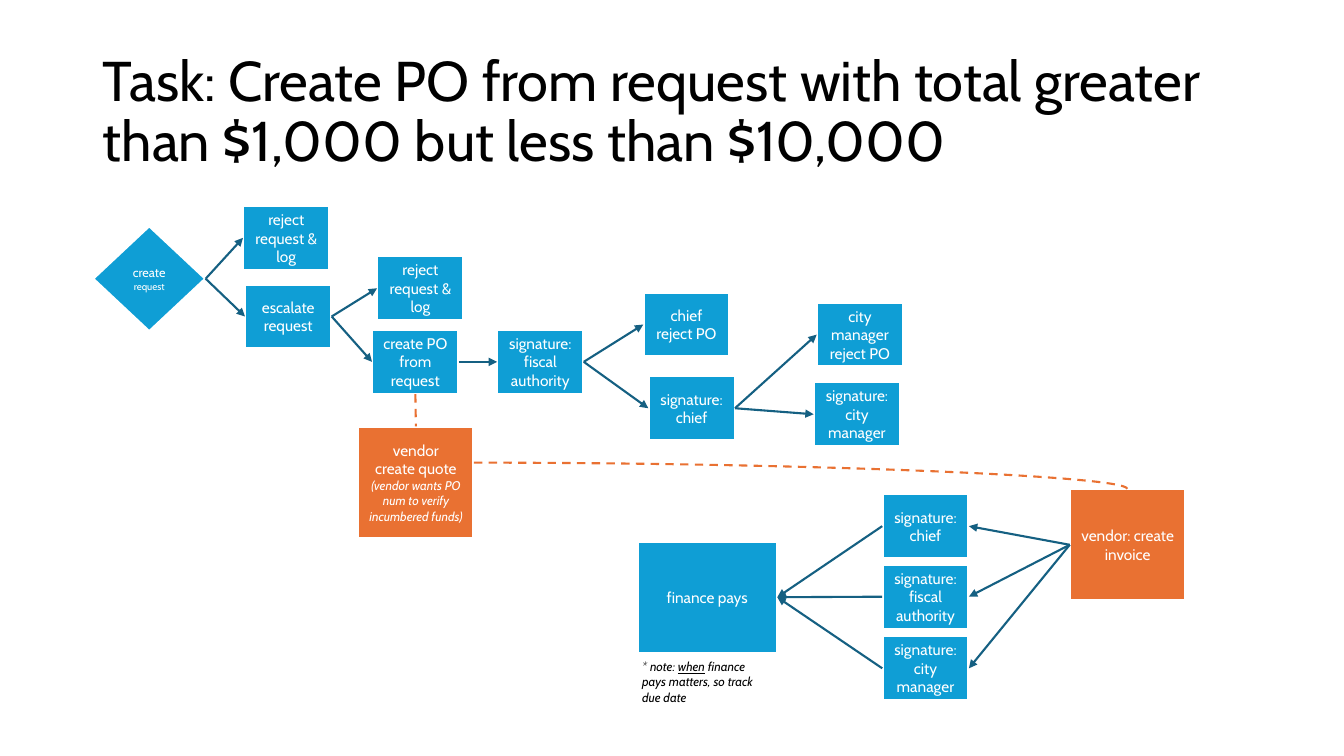
from dataclasses import dataclass

from lxml import etree
from pptx import Presentation
from pptx.dml.color import RGBColor
from pptx.enum import dml, shapes, text
from pptx.oxml import ns
from pptx.util import Inches, Pt


@dataclass(frozen=True)
class Theme:
    """Colours, font and type sizes of the slide."""
    font: str = "Cabin"
    blue: RGBColor = RGBColor(0x0F, 0x9E, 0xD5)
    orange: RGBColor = RGBColor(0xE9, 0x71, 0x32)
    arrow: RGBColor = RGBColor(0x15, 0x60, 0x82)
    white: RGBColor = RGBColor(0xFF, 0xFF, 0xFF)
    black: RGBColor = RGBColor(0, 0, 0)
    title: int = 40
    step: int = 11
    small: int = 9
    tiny: int = 7
    outline: float = 2
    stroke: float = 1.5


THEME = Theme()
TOP, LEFT, BOTTOM, RIGHT = range(4)
STEP_SIZE = (0.86, 0.64)
VENDOR_SIZE = (1.15, 1.11)

STEPS = {
    "reject request": (2.41, 2.04, "reject request & log"),
    "escalate": (2.43, 2.82, "escalate request"),
    "reject escalated": (3.74, 2.54, "reject request & log"),
    "create PO": (3.69, 3.27, "create PO from request"),
    "fiscal signs PO": (4.93, 3.27, "signature: fiscal authority"),
    "chief rejects": (6.38, 2.9, "chief reject PO"),
    "chief signs PO": (6.43, 3.73, "signature: chief"),
    "manager signs PO": (8.07, 3.79, "signature: city manager"),
    "manager rejects": (8.1, 3, "city manager reject PO"),
    "chief signs invoice": (8.75, 4.9, "signature: chief"),
    "fiscal signs invoice": (8.75, 5.6, "signature: fiscal authority"),
    "manager signs invoice": (8.75, 6.31, "signature: city manager"),
}

REQUEST_FLOW = {
    "create request": ("reject request", "escalate"),
    "escalate": ("reject escalated", "create PO"),
    "create PO": ("fiscal signs PO",),
    "fiscal signs PO": ("chief rejects", "chief signs PO"),
    "chief signs PO": ("manager rejects", "manager signs PO"),
}
INVOICE_SIGNERS = ("chief signs invoice", "fiscal signs invoice", "manager signs invoice")


def write_paragraph(paragraph, runs, size, color, align=text.PP_ALIGN.LEFT, italic=None):
    """Fill a paragraph with (text, font overrides) runs and format it."""
    paragraph.alignment = align
    font = paragraph.font
    font.name, font.size, font.italic = THEME.font, Pt(size), italic
    font.color.rgb = color
    for words, overrides in runs:
        run = paragraph.add_run()
        run.text = words
        for attribute, value in overrides.items():
            setattr(run.font, attribute, value)


def add_title(slide, words):
    """Place and format the slide title."""
    title = slide.shapes.title
    title.left, title.top = Inches(0.92), Inches(0.4)
    title.width, title.height = Inches(11.5), Inches(1.45)
    frame = title.text_frame
    frame.word_wrap = True
    frame.auto_size = text.MSO_AUTO_SIZE.NONE
    frame.vertical_anchor = text.MSO_ANCHOR.MIDDLE
    frame.paragraphs[0].line_spacing = 0.9
    write_paragraph(frame.paragraphs[0], [(words, {})], THEME.title, THEME.black)


def add_node(slide, place, size, paragraphs, fill=THEME.blue,
             outline=shapes.MSO_SHAPE.RECTANGLE):
    """Add one flow chart node with centred white text."""
    node = slide.shapes.add_shape(outline, *map(Inches, (*place, *size)))
    node.shadow.inherit = False
    node.fill.solid()
    node.fill.fore_color.rgb = fill
    node.line.color.rgb = THEME.white
    node.line.width = Pt(THEME.outline)
    frame = node.text_frame
    frame.word_wrap = True
    frame.vertical_anchor = text.MSO_ANCHOR.MIDDLE
    for index, runs in enumerate(paragraphs):
        paragraph = frame.add_paragraph() if index else frame.paragraphs[0]
        write_paragraph(paragraph, runs, THEME.step, THEME.white, text.PP_ALIGN.CENTER)
    return node


def add_link(slide, color, start=(0, 0), end=(0, 0), kind=shapes.MSO_CONNECTOR.STRAIGHT):
    """Add a connector without shadow."""
    link = slide.shapes.add_connector(kind, *map(Inches, (*start, *end)))
    link.line.color.rgb = color
    link.line.width = Pt(THEME.stroke)
    etree.SubElement(link._element.spPr, ns.qn("a:effectLst"))
    return link


def add_arrow(slide, source, target, source_side=RIGHT, target_side=LEFT):
    """Join two nodes with a straight arrow."""
    arrow = add_link(slide, THEME.arrow)
    arrow.begin_connect(source, source_side)
    arrow.end_connect(target, target_side)
    etree.SubElement(arrow.line._get_or_add_ln(), ns.qn("a:tailEnd"), type="triangle")


def add_vendor_links(slide, purchase_order, quote):
    """Draw the dashed links from the order to the quote and on to the invoice."""
    order_link = add_link(slide, THEME.orange)
    order_link.begin_connect(purchase_order, BOTTOM)
    order_link.end_connect(quote, TOP)
    invoice_link = add_link(slide, THEME.orange, (4.7, 4.59), (11.18, 4.85),
                            shapes.MSO_CONNECTOR.CURVE)
    invoice_link._element.spPr.find(ns.qn("a:prstGeom")).set("prst", "curvedConnector2")
    for link in (order_link, invoice_link):
        link.line.dash_style = dml.MSO_LINE.DASH


def add_note(slide):
    """Add the payment note under the finance node."""
    note = slide.shapes.add_textbox(*map(Inches, (6.27, 6.49, 1.38, 0.56)))
    frame = note.text_frame
    frame.word_wrap = True
    frame.auto_size = text.MSO_AUTO_SIZE.SHAPE_TO_FIT_TEXT
    runs = [("* note: ", {}), ("when", {"underline": True}),
            (" finance pays matters, so track due date", {})]
    write_paragraph(frame.paragraphs[0], runs, THEME.small, THEME.black, italic=True)


def main():
    """Build the purchase order flow slide."""
    deck = Presentation()
    deck.slide_width, deck.slide_height = Inches(13.33), Inches(7.5)
    slide = deck.slides.add_slide(deck.slide_layouts.get_by_name("Title Only"))
    add_title(slide, "Task: Create PO from request with total greater than $1,000 "
                     "but less than $10,000")

    nodes = {name: add_node(slide, (left, top), STEP_SIZE, [[(words, {})]])
             for name, (left, top, words) in STEPS.items()}
    nodes["create request"] = add_node(
        slide, (0.92, 2.24), (1.12, 1.05),
        [[("create ", {"size": Pt(THEME.small)}), ("request", {"size": Pt(THEME.tiny)})]],
        outline=shapes.MSO_SHAPE.DIAMOND)
    finance = add_node(slide, (6.32, 5.37), (1.39, 1.11), [[("finance pays", {})]])
    quote = add_node(
        slide, (3.55, 4.23), VENDOR_SIZE,
        [[("vendor", {})],
         [("create quote ", {}),
          ("(vendor wants PO num to verify incumbered funds)",
           {"size": Pt(THEME.small), "italic": True})]],
        THEME.orange)
    invoice = add_node(slide, (10.61, 4.85), VENDOR_SIZE,
                       [[("vendor: create invoice", {})]], THEME.orange)

    for source, targets in REQUEST_FLOW.items():
        for target in targets:
            add_arrow(slide, nodes[source], nodes[target])
    for signer in INVOICE_SIGNERS:
        add_arrow(slide, invoice, nodes[signer], LEFT, RIGHT)
        add_arrow(slide, nodes[signer], finance, LEFT, RIGHT)
    add_vendor_links(slide, nodes["create PO"], quote)
    add_note(slide)
    deck.save("out.pptx")


if __name__ == "__main__":
    main()
